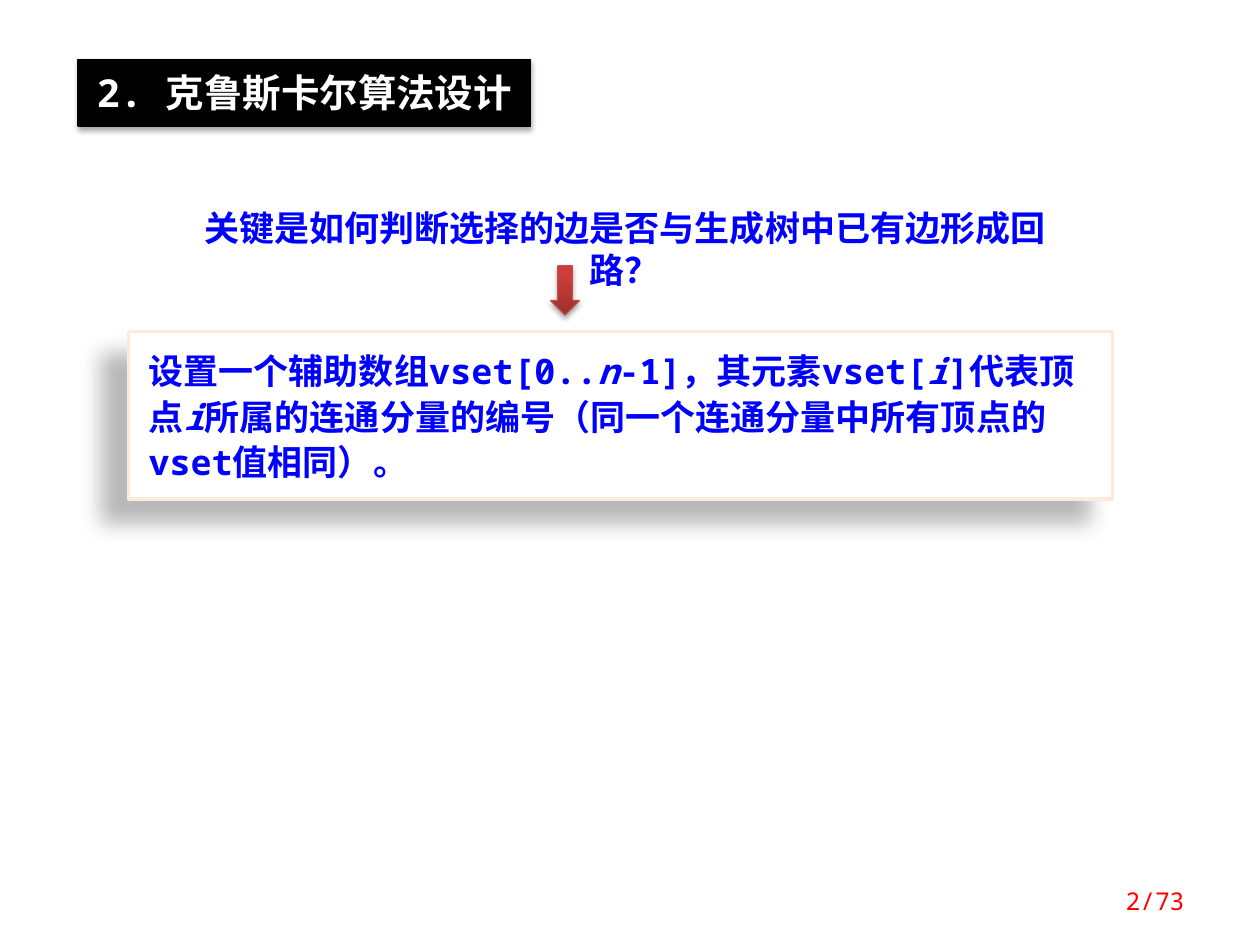
from copy import deepcopy

from lxml import etree
from pptx import Presentation
from pptx.dml.color import RGBColor
from pptx.enum import shapes, text
from pptx.oxml import ns
from pptx.util import Inches, Pt

COLORS = {
    "black": "000000", "white": "FFFFFF", "blue": "0000FF", "red": "FF0000",
    "peach": "FDEADA", "arrow_edge": "BF4C48",
    "arrow_dark": "9C2F2D", "arrow_mid": "CB3E3A", "arrow_light": "CE3B37",
}
FONT = "Noto Sans Mono"
SOFT_SHADOW = {"alpha": 35, "blur": 3.1, "distance": 1.8, "angle": 90}
DEEP_SHADOW = {"alpha": 28, "blur": 11.8, "distance": 19.7, "angle": 141}
ARROW_STOPS = [(0, "arrow_dark"), (0.8, "arrow_mid"), (1, "arrow_light")]


def rgb(name):
    """Return the named colour."""
    return RGBColor.from_string(COLORS[name])


def place(shape, box):
    """Set left, top, width and height in inches."""
    for side, value in zip(("left", "top", "width", "height"), box):
        setattr(shape, side, Inches(value))


def paint(shape, fill=None, line=None, width=0.75):
    """Give a shape its solid fill and outline."""
    if fill:
        shape.fill.solid()
        shape.fill.fore_color.rgb = rgb(fill)
    if line:
        shape.line.color.rgb = rgb(line)
        shape.line.width = Pt(width)
    else:
        shape.line.fill.background()
    shape.shadow.inherit = False


def cast_shadow(shape, alpha, blur, distance, angle):
    """Add an outer shadow to a painted shape."""
    effects = shape._element.spPr.find(ns.qn("a:effectLst"))
    shadow = etree.SubElement(
        effects, ns.qn("a:outerShdw"), blurRad=str(Pt(blur)),
        dist=str(Pt(distance)), dir=str(angle * 60000), rotWithShape="0")
    color = etree.SubElement(shadow, ns.qn("a:srgbClr"), val=COLORS["black"])
    etree.SubElement(color, ns.qn("a:alpha"), val=str(alpha * 1000))


def write(shape, runs, size, color, bold=True, align=text.PP_ALIGN.CENTER,
          insets=(0.1, 0.08), anchor=text.MSO_ANCHOR.TOP,
          auto_size=text.MSO_AUTO_SIZE.NONE, line_spacing=None):
    """Fill a shape with one paragraph of (words, italic) runs."""
    frame = shape.text_frame
    across, down = map(Inches, insets)
    layout = {"margin_left": across, "margin_right": across, "margin_top": down,
              "margin_bottom": down, "vertical_anchor": anchor,
              "word_wrap": True, "auto_size": auto_size}
    for key, value in layout.items():
        setattr(frame, key, value)
    paragraph = frame.paragraphs[0]
    paragraph.alignment = align
    paragraph.line_spacing = line_spacing
    paragraph._p.get_or_add_pPr().set("hangingPunct", "0")
    for words, italic in runs:
        run = paragraph.add_run()
        run.text = words
        style = {"name": FONT, "size": Pt(size), "bold": bold, "italic": italic}
        for key, value in style.items():
            setattr(run.font, key, value)
        run.font.color.rgb = rgb(color)
        etree.SubElement(run._r.get_or_add_rPr(), ns.qn("a:ea"), typeface=FONT)


def add_box(slide, kind, box):
    """Add a preset shape."""
    return slide.shapes.add_shape(kind, *map(Inches, box))


def add_arrow(slide, box):
    """Add the shaded down arrow."""
    arrow = add_box(slide, shapes.MSO_SHAPE.DOWN_ARROW, box)
    paint(arrow, line="arrow_edge")
    arrow.fill.gradient()
    arrow.fill.gradient_angle = 90
    stop_list = arrow._element.spPr.find(".//" + ns.qn("a:gsLst"))
    stop_list.append(deepcopy(stop_list[0]))
    for stop, (position, color) in zip(arrow.fill.gradient_stops, ARROW_STOPS):
        stop.position = position
        stop.color.rgb = rgb(color)
    cast_shadow(arrow, **SOFT_SHADOW)


def main():
    """Build the slide and save it."""
    deck = Presentation()
    deck.slide_width, deck.slide_height = Inches(10), Inches(7.5)
    slide = deck.slides.add_slide(deck.slide_layouts[5])

    heading = slide.shapes.title
    place(heading, (0.62, 0.47, 3.59, 0.53))
    paint(heading, "black", "black")
    cast_shadow(heading, **SOFT_SHADOW)
    write(heading, [("2. 克鲁斯卡尔算法设计", False)], 22, "white")

    question = add_box(slide, shapes.MSO_SHAPE.RECTANGLE, (1.25, 1.56, 7.42, 0.5))
    paint(question, "white")
    write(question, [("关键是如何判断选择的边是否与生成树中已有边形成回路？", False)],
          20, "blue", auto_size=text.MSO_AUTO_SIZE.SHAPE_TO_FIT_TEXT)

    answer = add_box(slide, shapes.MSO_SHAPE.RECTANGLE, (1.02, 2.63, 7.81, 1.33))
    paint(answer, "white", "peach", 2)
    cast_shadow(answer, **DEEP_SHADOW)
    write(answer, [
        ("设置一个辅助数组vset[0..", False), ("n", True),
        ("-1]，其元素vset[", False), ("i", True), ("]代表顶点", False), ("i", True),
        ("所属的连通分量的编号（同一个连通分量中所有顶点的vset值相同）。", False),
    ], 20, "blue", align=text.PP_ALIGN.LEFT, insets=(0.16, 0.12),
        auto_size=text.MSO_AUTO_SIZE.SHAPE_TO_FIT_TEXT, line_spacing=Pt(26))

    add_arrow(slide, (4.37, 2.11, 0.23, 0.39))

    page = slide.shapes.add_textbox(*map(Inches, (8.52, 6.95, 0.98, 0.4)))
    write(page, [("2/73", False)], 14, "red", bold=False,
          align=text.PP_ALIGN.RIGHT, insets=(0.1, 0.05),
          anchor=text.MSO_ANCHOR.MIDDLE)

    deck.save("out.pptx")


if __name__ == "__main__":
    main()
